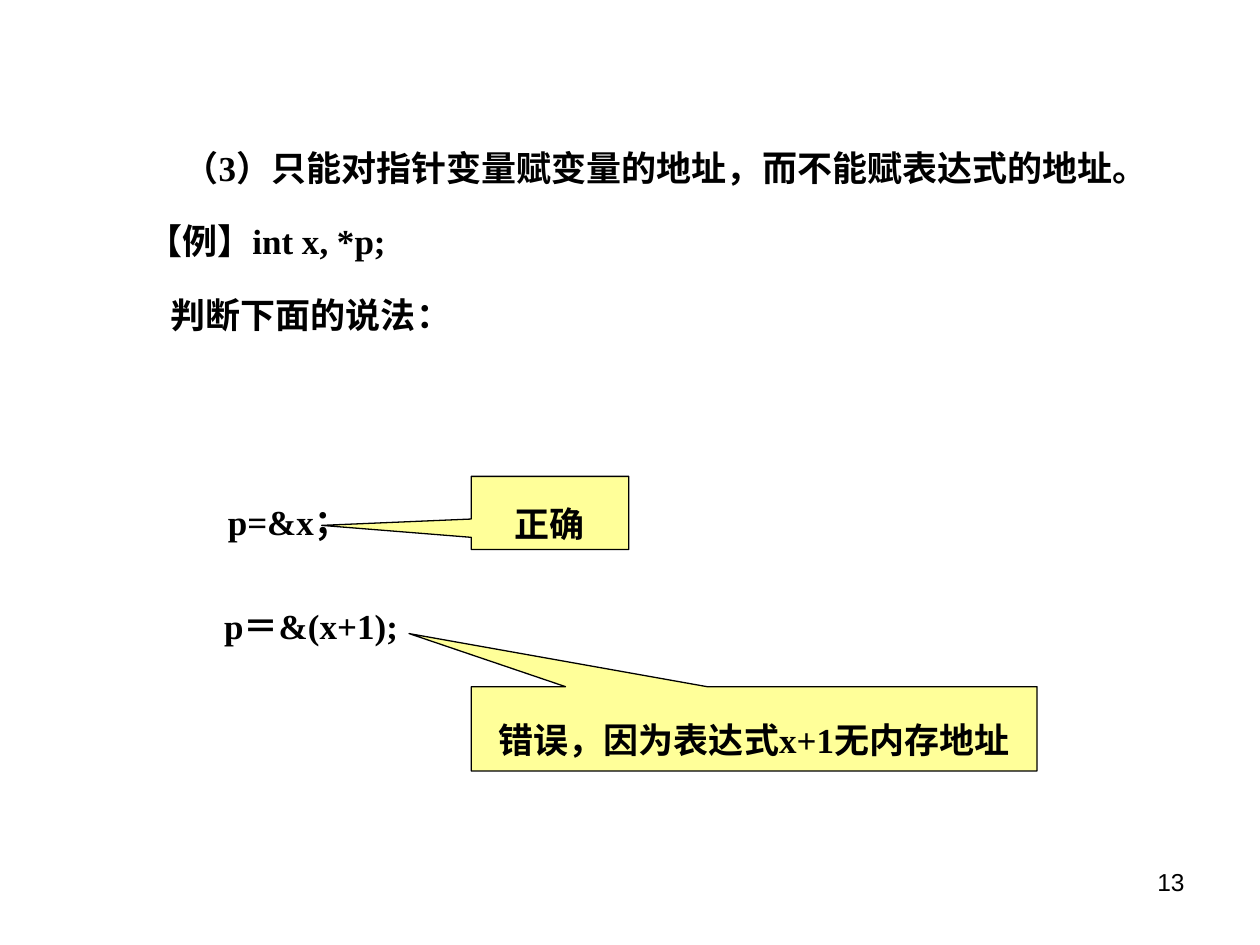
from dataclasses import dataclass

from pptx import Presentation
from pptx.dml.color import RGBColor
from pptx.enum import shapes, text
from pptx.oxml import xmlchemy
from pptx.util import Pt

BLACK = "000000"
YELLOW = "FFFF99"
SERIF = "Times New Roman"


@dataclass
class Box:
    left: float
    top: float
    width: float
    height: float

    def lengths(self):
        return Pt(self.left), Pt(self.top), Pt(self.width), Pt(self.height)


@dataclass
class Point:
    words: str
    indent: float


@dataclass
class Label:
    words: str
    box: Box
    font: str = SERIF
    size: float = 20
    bold: bool = True
    align: text.PP_ALIGN = text.PP_ALIGN.LEFT
    wrap: bool = False


@dataclass
class Callout:
    words: str
    box: Box
    tip: tuple[float, float]


POINTS = [
    Point("（3）只能对指针变量赋变量的地址，而不能赋表达式的地址。", 43),
    Point("【例】int x, *p;", 22.2),
    Point("判断下面的说法：", 35.6),
]
LABELS = [
    Label("p=&x；", Box(123.1, 282.2, 88.6, 31.7)),
    Label("p＝&(x+1);", Box(121, 342, 123.1, 31.7)),
    Label("13", Box(516.2, 491.8, 167.8, 37.4), "Arial", 14, False,
          text.PP_ALIGN.RIGHT, True),
]
CALLOUTS = [
    Callout("正确", Box(269.3, 272.2, 90, 41.8), (-1.45, 0.17)),
    Callout("错误，因为表达式x+1无内存地址", Box(269.3, 392.4, 323.3, 48.2), (-0.61, -1.13)),
]


def colour(value: str) -> RGBColor:
    return RGBColor.from_string(value)


def set_font(paragraph, name: str = SERIF, size: float = 20, bold: bool = True) -> None:
    font = paragraph.font
    font.name, font.size, font.bold = name, Pt(size), bold
    font.color.rgb = colour(BLACK)


def draw_points(body, points: list[Point], box: Box) -> None:
    body.left, body.top, body.width, body.height = box.lengths()
    frame = body.text_frame
    frame.auto_size = text.MSO_AUTO_SIZE.SHAPE_TO_FIT_TEXT
    frame.vertical_anchor = text.MSO_ANCHOR.TOP
    for index, point in enumerate(points):
        paragraph = frame.add_paragraph() if index else frame.paragraphs[0]
        paragraph.text = point.words
        paragraph.line_spacing = 1.5
        paragraph.space_before = Pt(6.2 if index else 0)
        properties = paragraph._p.get_or_add_pPr()
        properties.set("marL", "0")
        properties.set("indent", str(Pt(point.indent)))
        properties.append(xmlchemy.OxmlElement("a:buNone"))
        set_font(paragraph)


def draw_label(slide, label: Label) -> None:
    frame = slide.shapes.add_textbox(*label.box.lengths()).text_frame
    frame.word_wrap = label.wrap
    paragraph = frame.paragraphs[0]
    paragraph.text = label.words
    paragraph.alignment = label.align
    set_font(paragraph, label.font, label.size, label.bold)


def draw_callout(slide, callout: Callout) -> None:
    bubble = slide.shapes.add_shape(
        shapes.MSO_SHAPE.RECTANGULAR_CALLOUT, *callout.box.lengths())
    bubble.adjustments[0], bubble.adjustments[1] = callout.tip
    bubble.shadow.inherit = False
    bubble.fill.solid()
    bubble.fill.fore_color.rgb = colour(YELLOW)
    bubble.line.color.rgb = colour(BLACK)
    bubble.line.width = Pt(0.75)
    frame = bubble.text_frame
    frame.word_wrap = True
    frame.vertical_anchor = text.MSO_ANCHOR.MIDDLE
    paragraph = frame.paragraphs[0]
    paragraph.text = callout.words
    paragraph.alignment = text.PP_ALIGN.CENTER
    paragraph.line_spacing = 1.5
    set_font(paragraph)


def main() -> None:
    deck = Presentation()
    deck.slide_width, deck.slide_height = Pt(720), Pt(540)
    slide = deck.slides.add_slide(deck.slide_layouts[1])
    title, body = slide.placeholders
    title.element.getparent().remove(title.element)
    draw_points(body, POINTS, Box(54.7, 67.9, 606.2, 135.4))
    for callout in CALLOUTS:
        draw_callout(slide, callout)
    for label in LABELS:
        draw_label(slide, label)
    deck.save("out.pptx")


if __name__ == "__main__":
    main()
